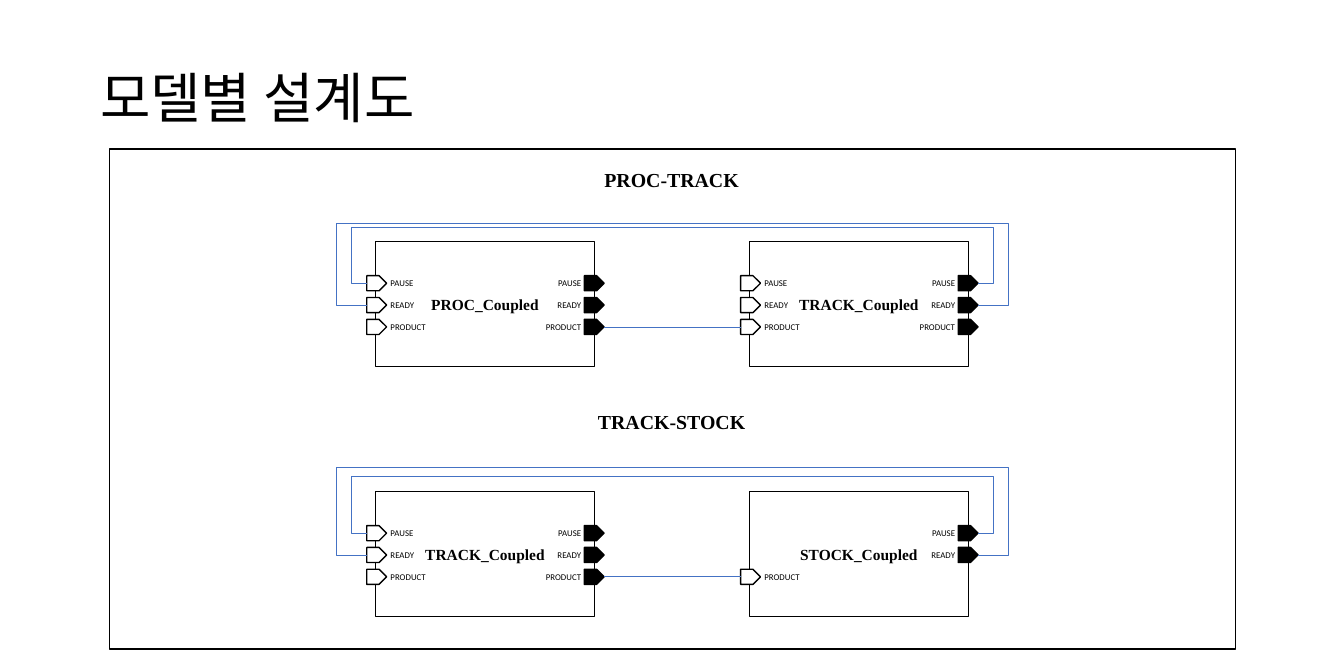
from dataclasses import dataclass
from lxml import etree
from pptx import Presentation
from pptx.dml.color import RGBColor
from pptx.enum.shapes import MSO_CONNECTOR as CONN, MSO_SHAPE as SHAPE
from pptx.enum.text import MSO_ANCHOR as ANCHOR, MSO_AUTO_SIZE as FIT, PP_ALIGN as ALIGN
from pptx.oxml.ns import qn
from pptx.util import Inches, Pt


@dataclass(frozen=True)
class Theme:
    black = RGBColor(0, 0, 0)
    white = RGBColor(255, 255, 255)
    blue = RGBColor(0x44, 0x72, 0xC4)
    sans = "Calibri"
    serif = "Times New Roman"
    title_pt = 49.7
    heading_pt = 18
    module_pt = 14
    port_pt = 8


T = Theme()
PORTS = ["PAUSE", "READY", "PRODUCT"]
PORT_W, PORT_H, PORT_PITCH = 0.25, 0.19, 0.275
FIRST_PORT = 0.52  # module top to the middle of its first port
MODULE_W, MODULE_H, MODULE_STEP = 2.76, 1.57, 4.71
LABEL_W, LABEL_H = 0.65, 0.24


def write(shape, text, size, font, align, bold=False):
    tf = shape.text_frame
    tf.word_wrap = True
    tf.auto_size = FIT.NONE
    tf.vertical_anchor = ANCHOR.MIDDLE
    tf.text = text
    p = tf.paragraphs[0]
    p.alignment = align
    p.font.size, p.font.name, p.font.bold = Pt(size), font, bold
    p.font.color.rgb = T.black
    return tf


def add_box(s, kind, x, y, w, h, line_pt, fill=None):
    sp = s.shapes.add_shape(kind, Inches(x), Inches(y), Inches(w), Inches(h))
    sp.shadow.inherit = False
    if fill is None:
        sp.fill.background()
    else:
        sp.fill.solid()
        sp.fill.fore_color.rgb = fill
    sp.line.color.rgb = T.black
    sp.line.width = Pt(line_pt)
    return sp


def add_text(s, x, y, w, h, *style, **options):
    tb = s.shapes.add_textbox(Inches(x), Inches(y), Inches(w), Inches(h))
    return write(tb, *style, **options)


def add_port(s, name, x, y, is_output):
    """Port arrow whose middle is at height y, with its label inside the module."""
    port = add_box(s, SHAPE.PENTAGON, x, y - PORT_H / 2, PORT_W, PORT_H, 1.25,
                   T.black if is_output else T.white)
    label_x = x + 0.06 - LABEL_W if is_output else x + 0.2
    tf = add_text(s, label_x, y - LABEL_H / 2, LABEL_W, LABEL_H, name, T.port_pt,
                  T.sans, ALIGN.RIGHT if is_output else ALIGN.LEFT)
    if is_output:
        tf.margin_left = 0
    else:
        tf.margin_right = 0
    return port


def add_module(s, x, y, name, inputs, outputs):
    """Module box with ports on both sides; returns the ports by name."""
    box = add_box(s, SHAPE.RECTANGLE, x, y, MODULE_W, MODULE_H, 1, T.white)
    write(box, name, T.module_pt, T.serif, ALIGN.CENTER, bold=True)
    sides = []
    for names, dx, is_output in [(inputs, -0.11, False), (outputs, MODULE_W - 0.13, True)]:
        sides.append({n: add_port(s, n, x + dx, y + FIRST_PORT + PORTS.index(n) * PORT_PITCH,
                                  is_output) for n in names})
    return sides


def add_feedback(s, source, target, gap, top):
    """Line from an output, over both modules, back to an input."""
    x1, x2 = source.left + source.width, target.left
    y1, y2 = source.top + source.height // 2, target.top + target.height // 2
    right, left, top = x1 + Inches(gap), x2 - Inches(gap), Inches(top)
    fb = s.shapes.build_freeform(x1, y1)
    fb.add_line_segments([(right, y1), (right, top), (left, top), (left, y2), (x2, y2)],
                         close=False)
    sp = fb.convert_to_shape()
    sp.shadow.inherit = False
    sp.fill.background()
    sp.line.color.rgb = T.blue
    sp.line.width = Pt(0.5)


def add_link(s, source, target):
    cx = s.shapes.add_connector(CONN.STRAIGHT, 0, 0, 0, 0)
    cx.begin_connect(source, 3)
    cx.end_connect(target, 1)
    cx.line.color.rgb = T.blue
    cx.line.width = Pt(0.5)
    etree.SubElement(cx._element.spPr, qn("a:effectLst"))


def add_diagram(s, x, y, heading, heading_y, left_name, right_name, right_ports, loop_tops):
    """Two coupled modules; x, y is the corner of the left one."""
    add_text(s, 0.45, heading_y, 16.02, 0.4, heading, T.heading_pt, T.serif,
             ALIGN.CENTER, bold=True)
    left_in, left_out = add_module(s, x, y, left_name, PORTS, PORTS)
    right_in, right_out = add_module(s, x + MODULE_STEP, y, right_name, *right_ports)
    for name, gap, top in zip(PORTS, (0.19, 0.38), loop_tops):
        add_feedback(s, right_out[name], left_in[name], gap, top)
    add_link(s, left_out["PRODUCT"], right_in["PRODUCT"])


def add_title(s, x, y, w, h, text):
    title = s.shapes.title
    title.left, title.top, title.width, title.height = map(Inches, (x, y, w, h))
    tf = write(title, text, T.title_pt, T.sans, ALIGN.LEFT)
    tf.paragraphs[0].line_spacing = 0.9


def main():
    prs = Presentation()
    prs.slide_width, prs.slide_height = Inches(16.93), Inches(8.47)
    s = prs.slides.add_slide(prs.slide_layouts[5])

    # Title and frame
    add_title(s, 1.16, 0.45, 14.6, 1.64, "모델별 설계도")
    add_box(s, SHAPE.RECTANGLE, 1.38, 1.88, 14.18, 6.3, 1.25)

    # Coupled model diagrams
    add_diagram(s, 4.73, 3.05, "PROC-TRACK", 2.06, "PROC_Coupled", "TRACK_Coupled",
                (PORTS, PORTS), (2.86, 2.82))
    add_diagram(s, 4.73, 6.2, "TRACK-STOCK", 5.11, "TRACK_Coupled", "STOCK_Coupled",
                (["PRODUCT"], ["PAUSE", "READY"]), (6, 5.89))
    prs.save("out.pptx")


if __name__ == "__main__":
    main()
